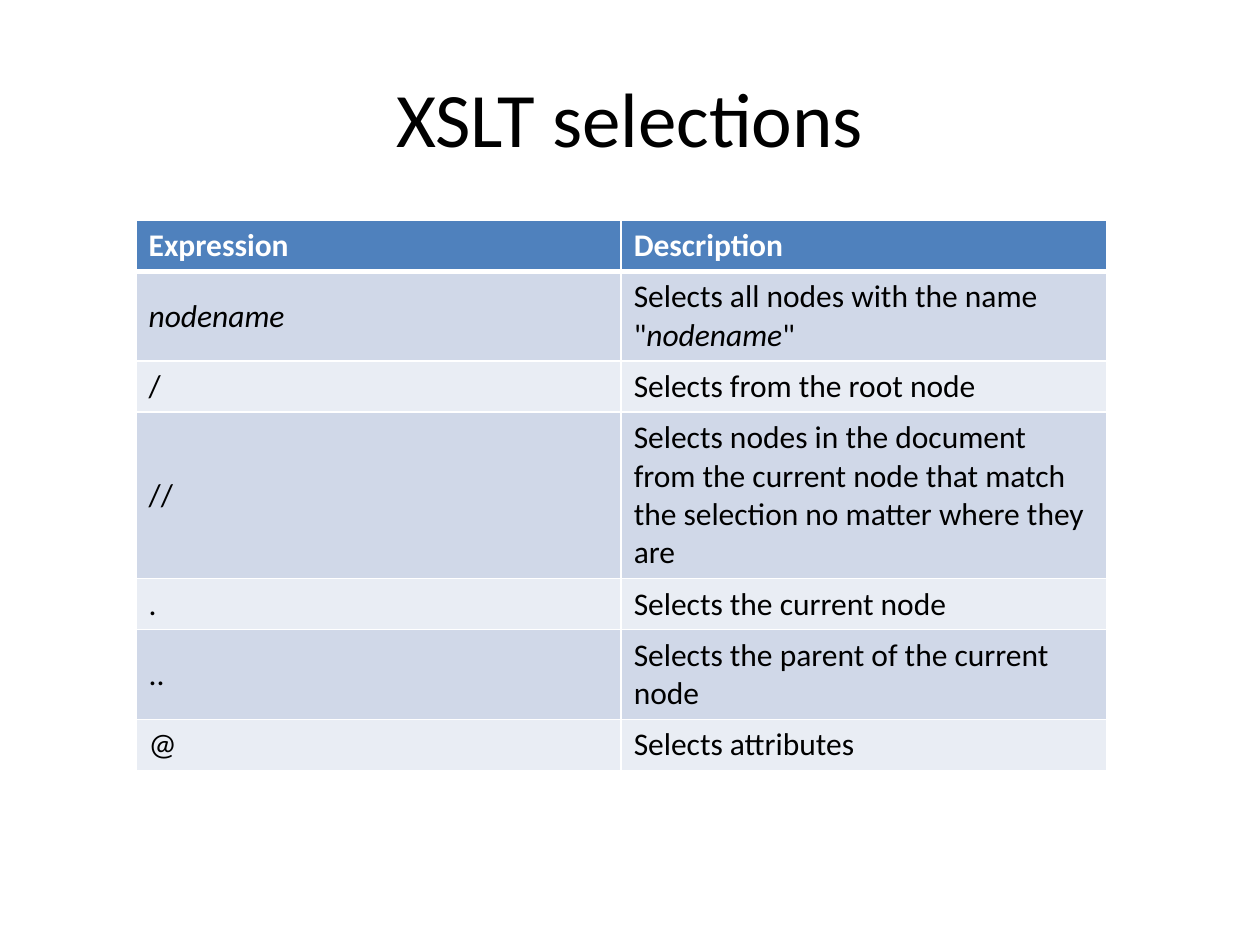
from dataclasses import dataclass
from lxml.etree import SubElement
from pptx import Presentation
from pptx.dml.color import RGBColor
from pptx.enum.text import MSO_ANCHOR, PP_ALIGN
from pptx.oxml.ns import qn
from pptx.util import Inches, Pt


@dataclass(frozen=True)
class Theme:
    font: str = "Calibri"
    title: int = 44
    body: int = 18
    ink: str = "000000"
    paper: str = "FFFFFF"
    head: str = "4F81BD"
    bands: tuple = ("E9EDF4", "D0D8E8")
    thin: int = 1
    thick: int = 3


THEME = Theme()
WIDE, HIGH = 10, 7.5

# Asterisks enclose italic words
ROWS = [
    ("Expression", "Description"),
    ("*nodename*", 'Selects all nodes with the name "*nodename*"'),
    ("/", "Selects from the root node"),
    ("//", "Selects nodes in the document from the current node "
           "that match the selection no matter where they are"),
    (".", "Selects the current node"),
    ("..", "Selects the parent of the current node"),
    ("@", "Selects attributes"),
]
LINES = (1, 2, 1, 4, 1, 2, 1)  # text lines in each row
PAD, LEAD = 0.1, 0.305  # row padding and line pitch, inches


def style(run, size, color, bold=False, slant=False):
    font = run.font
    font.name, font.size = THEME.font, Pt(size)
    font.bold, font.italic = bold, slant
    font.color.rgb = RGBColor.from_string(color)


def edge(cell, side, width):
    line = SubElement(cell._tc.get_or_add_tcPr(), qn("a:ln" + side),
                      w=str(Pt(width)))
    fill = SubElement(line, qn("a:solidFill"))
    SubElement(fill, qn("a:srgbClr"), val=THEME.paper)


def fill_cell(cell, text, row):
    head = row == 0
    # Borders come before the fill in the cell properties
    for side in "LRTB":
        heavy = (head and side == "B") or (row == 1 and side == "T")
        edge(cell, side, THEME.thick if heavy else THEME.thin)
    cell.fill.solid()
    cell.fill.fore_color.rgb = RGBColor.from_string(
        THEME.head if head else THEME.bands[row % 2])
    cell.vertical_anchor = MSO_ANCHOR.MIDDLE
    para = cell.text_frame.paragraphs[0]
    for i, part in enumerate(text.split("*")):
        if part:
            run = para.add_run()
            run.text = part
            style(run, THEME.body, THEME.paper if head else THEME.ink,
                  bold=head, slant=i % 2 == 1)


def add_title(slide, box, text):
    shape = slide.shapes.title
    shape.left, shape.top, shape.width, shape.height = map(Inches, box)
    frame = shape.text_frame
    frame.text = text
    frame.vertical_anchor = MSO_ANCHOR.MIDDLE
    para = frame.paragraphs[0]
    para.alignment = PP_ALIGN.CENTER
    style(para.runs[0], THEME.title, THEME.ink)


def add_grid(slide, box, rows):
    cols = len(rows[0])
    table = slide.shapes.add_table(len(rows), cols, *map(Inches, box)).table
    for col in table.columns:
        col.width = Inches(box[2] / cols)
    for r, (texts, lines) in enumerate(zip(rows, LINES)):
        table.rows[r].height = Inches(PAD + lines * LEAD)
        for c, text in enumerate(texts):
            fill_cell(table.cell(r, c), text, r)


def build():
    deck = Presentation()
    deck.slide_width, deck.slide_height = Inches(WIDE), Inches(HIGH)
    slide = deck.slides.add_slide(deck.slide_layouts[5])
    add_title(slide, (WIDE * 0.05, HIGH * 0.04, WIDE * 0.9, HIGH / 6),
              "XSLT selections")
    tall = sum(PAD + n * LEAD for n in LINES)
    add_grid(slide, (1.08, 1.75, WIDE * 0.77, tall), ROWS)
    deck.save("out.pptx")


build()
